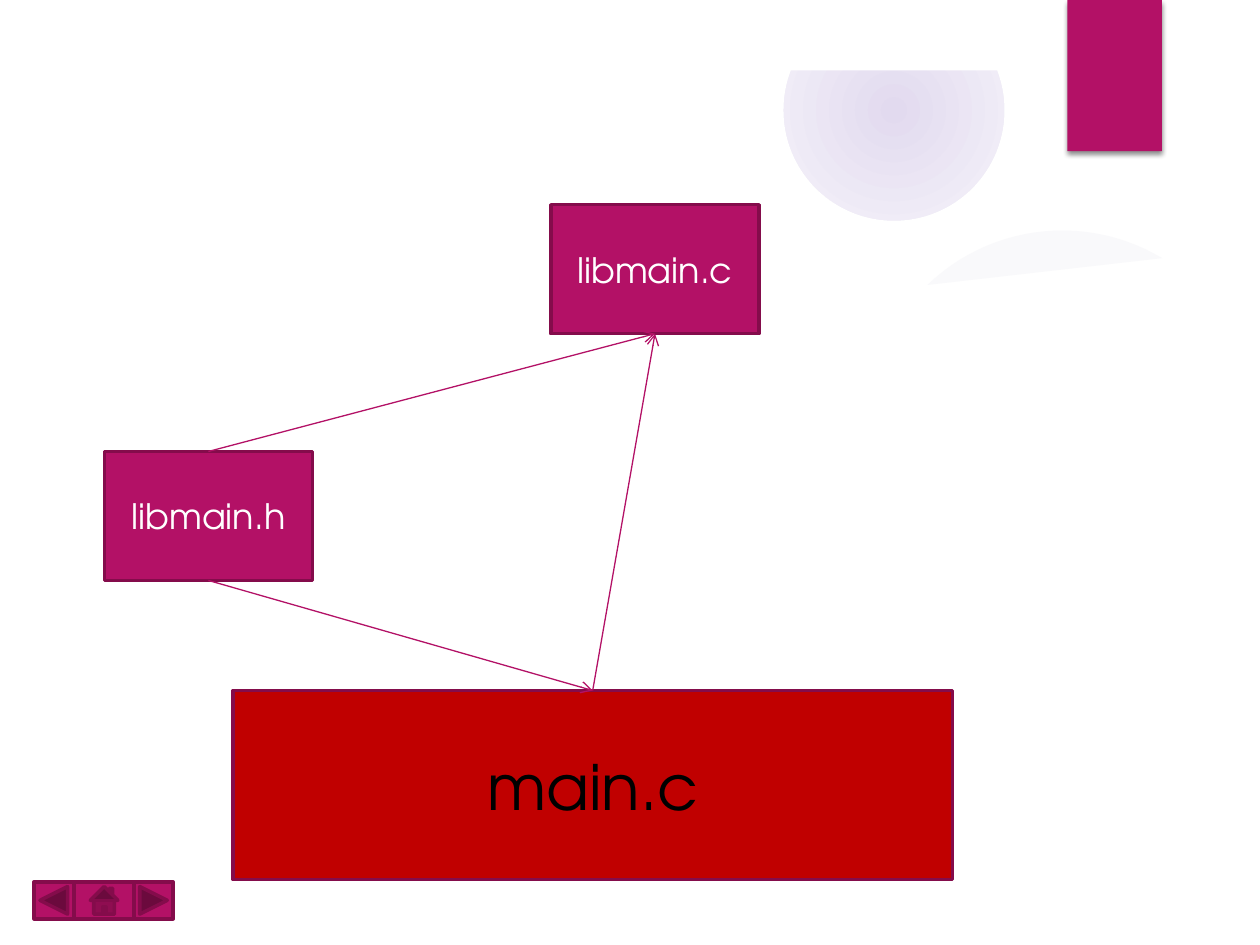
from dataclasses import dataclass
from math import cos, radians, sin

from pptx import Presentation
from pptx.dml.color import RGBColor
from pptx.enum.shapes import MSO_CONNECTOR, MSO_SHAPE
from pptx.enum.text import MSO_ANCHOR, PP_ALIGN
from pptx.oxml import parse_xml
from pptx.oxml.ns import nsdecls, qn
from pptx.util import Pt


@dataclass(frozen=True)
class Theme:
    accent: RGBColor = RGBColor.from_string("B31166")
    outline: RGBColor = RGBColor.from_string("840C4B")
    main_fill: RGBColor = RGBColor.from_string("C00000")
    white: RGBColor = RGBColor.from_string("FFFFFF")
    black: RGBColor = RGBColor.from_string("000000")
    glow_center: RGBColor = RGBColor.from_string("E2DAEF")
    glow_edge: RGBColor = RGBColor.from_string("F5F3FA")
    sliver: RGBColor = RGBColor.from_string("F9F9FB")
    font: str = "TeX Gyre Adventor"
    label_size: int = 20
    main_size: int = 36


theme = Theme()
deck = Presentation()
deck.slide_width, deck.slide_height = Pt(720), Pt(540)
page = deck.slides.add_slide(deck.slide_layouts[6])


def add_block(kind, left, top, width, height, color, outlined=True):
    block = page.shapes.add_shape(kind, Pt(left), Pt(top), Pt(width), Pt(height))
    block.shadow.inherit = False
    block.fill.solid()
    block.fill.fore_color.rgb = color
    if outlined:
        block.line.color.rgb = theme.outline
        block.line.width = Pt(2)
    else:
        block.line.fill.background()
    return block


glow = add_block(MSO_SHAPE.OVAL, 447.84, 0, 126, 126, theme.glow_center, False)
glow.fill.gradient()
for stop, color in zip(glow.fill.gradient_stops, (theme.glow_center, theme.glow_edge)):
    stop.color.rgb = color
    stop.position = 0 if color == theme.glow_center else 1
gradient = glow._element.spPr.find(qn("a:gradFill"))
gradient.replace(gradient.find(qn("a:lin")), parse_xml(
    f'<a:path {nsdecls("a")} path="circle">'
    '<a:fillToRect l="50000" t="50000" r="50000" b="50000"/></a:path>'))
add_block(MSO_SHAPE.RECTANGLE, 0, 0, 720, 40.3, theme.white, False)

center_x, center_y, radius = 607, 242.6, 110.9
arc = [(Pt(center_x + radius * cos(radians(angle))),
        Pt(center_y + radius * sin(radians(angle)))) for angle in range(226, 302, 3)]
builder = page.shapes.build_freeform(*arc[0])
builder.add_line_segments(arc[1:], close=True)
sliver = builder.convert_to_shape()
sliver.shadow.inherit = False
sliver.fill.solid()
sliver.fill.fore_color.rgb = theme.sliver
sliver.line.fill.background()

tab = add_block(MSO_SHAPE.RECTANGLE, 610, 0, 54, 86.4, theme.accent, False)
tab._element.spPr.find(qn("a:effectLst")).append(parse_xml(
    f'<a:outerShdw {nsdecls("a")} blurRad="{Pt(3)}" dist="{Pt(2)}" dir="5400000" rotWithShape="0">'
    '<a:srgbClr val="000000"><a:alpha val="45000"/></a:srgbClr></a:outerShdw>'))

files = {}
for name, left, top, width, height, color, ink, size in (
    ("libmain.h", 59.6, 258, 119, 73.7, theme.accent, theme.white, theme.label_size),
    ("libmain.c", 314.8, 117, 119, 73.7, theme.accent, theme.white, theme.label_size),
    ("main.c", 133.2, 394.6, 411, 108, theme.main_fill, theme.black, theme.main_size),
):
    box = add_block(MSO_SHAPE.RECTANGLE, left, top, width, height, color)
    box.text_frame.word_wrap = True
    box.text_frame.vertical_anchor = MSO_ANCHOR.MIDDLE
    para = box.text_frame.paragraphs[0]
    para.alignment = PP_ALIGN.CENTER
    span = para.add_run()
    span.text = name
    span.font.name = theme.font
    span.font.size = Pt(size)
    span.font.color.rgb = ink
    files[name] = box

TOP, BOTTOM = 0, 2
for source, source_side, target, target_side in (
    ("libmain.h", TOP, "libmain.c", BOTTOM),
    ("libmain.h", BOTTOM, "main.c", TOP),
    ("main.c", TOP, "libmain.c", BOTTOM),
):
    arrow = page.shapes.add_connector(MSO_CONNECTOR.STRAIGHT, 0, 0, 0, 0)
    arrow.begin_connect(files[source], source_side)
    arrow.end_connect(files[target], target_side)
    arrow.line.color.rgb = theme.accent
    arrow.line.width = Pt(0.75)
    arrow.line._get_or_add_ln().append(parse_xml(f'<a:tailEnd {nsdecls("a")} type="arrow"/>'))
    arrow._element.spPr.append(parse_xml(f'<a:effectLst {nsdecls("a")}/>'))

for kind, left, width in (
    (MSO_SHAPE.ACTION_BUTTON_HOME, 42.5, 34),
    (MSO_SHAPE.ACTION_BUTTON_BACK_OR_PREVIOUS, 19.5, 22.5),
    (MSO_SHAPE.ACTION_BUTTON_FORWARD_OR_NEXT, 76.5, 22.5),
):
    add_block(kind, left, 504, width, 21, theme.accent)

deck.save("out.pptx")
